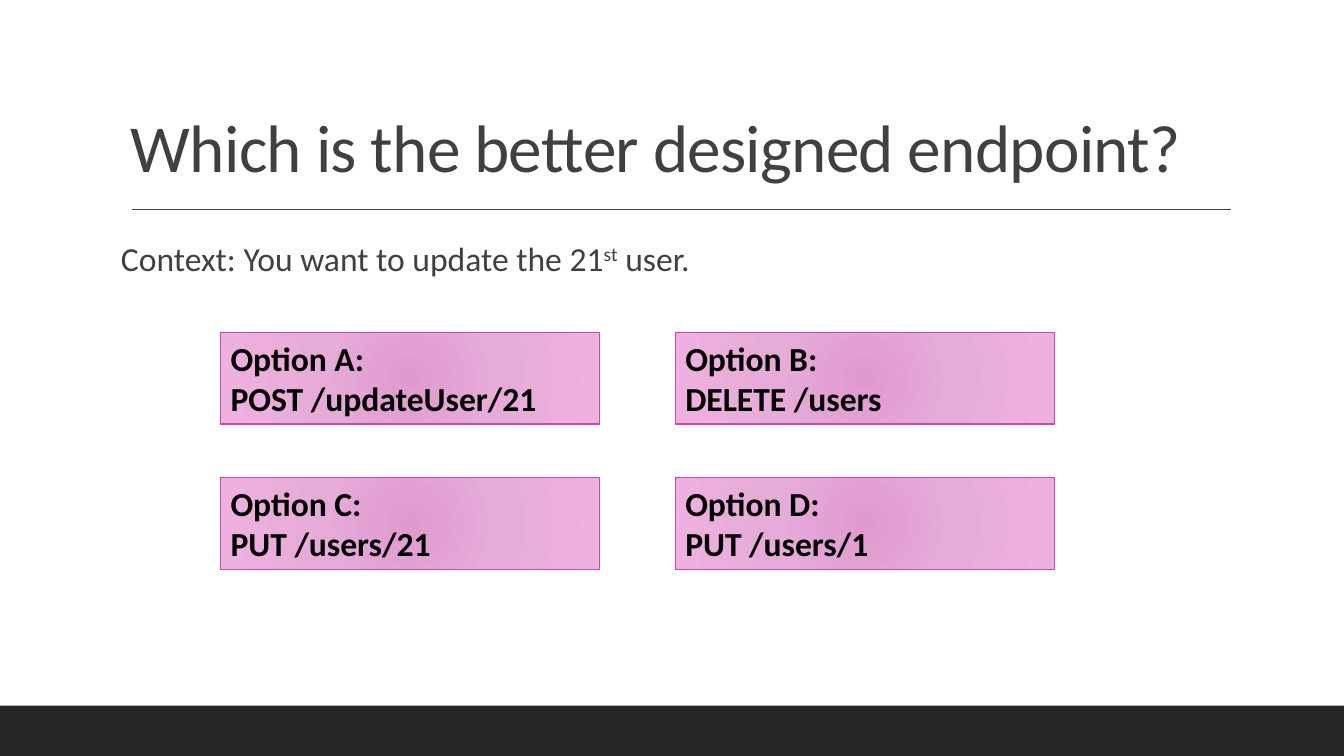
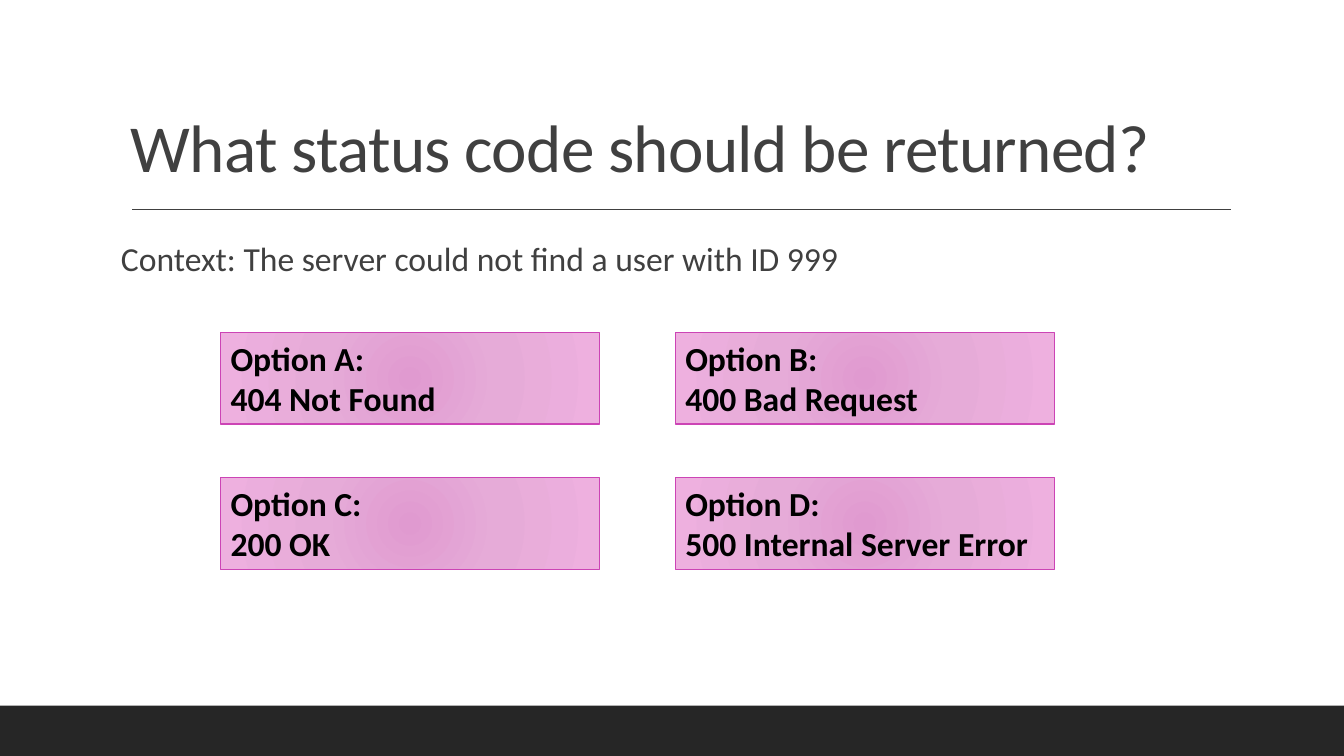
from pptx import Presentation
from pptx.dml.color import RGBColor
from pptx.enum.shapes import MSO_CONNECTOR, MSO_SHAPE
from pptx.enum.text import MSO_ANCHOR, MSO_AUTO_SIZE, PP_ALIGN
from pptx.oxml import parse_xml
from pptx.oxml.ns import nsdecls, qn
from pptx.util import Cm, Pt

# Content: context is a list of (text, superscript) runs
SLIDES = [
    {
        "title": "Which is the better designed endpoint?",
        "context": [("Context: You want to update the 21", False),
                    ("st", True), (" user.", False)],
        "options": ["POST /updateUser/21", "DELETE /users",
                    "PUT /users/21", "PUT /users/1"],
    },
    {
        "title": "What status code should be returned?",
        "context": [("Context: The server could not find a user with ID 999", False)],
        "options": ["404 Not Found", "400 Bad Request",
                    "200 OK", "500 Internal Server Error"],
    },
]

# Shared style, lengths in cm
FONT = "Calibri"
GREY, BAND, BLACK, BORDER = "404040", "262626", "000000", "CC44B5"
GRADIENT = [(0, "E09AD0"), (45, "E6ABD8"), (100, "EEB0DF")]
WIDTH, HEIGHT, BAND_HEIGHT = 33.87, 19.05, 1.27
TEXT_LEFT, TEXT_WIDTH = 3.05, 27.94
RULE_LEFT, RULE_RIGHT, RULE_TOP = 3.33, 31.01, 5.28
GRID_LEFT, GRID_TOP, STEP_X, STEP_Y = 5.56, 8.38, 11.46, 3.66
BOX_WIDTH, BOX_HEIGHT = 9.55, 2.31


def color(value):
    return RGBColor.from_string(value)


def style(p, size, value, bold=False):
    p.alignment = PP_ALIGN.LEFT
    p.font.name, p.font.size, p.font.bold = FONT, Pt(size), bold
    p.font.color.rgb = color(value)


def add_text(s, top, height):
    tf = s.shapes.add_textbox(Cm(TEXT_LEFT), Cm(top), Cm(TEXT_WIDTH), Cm(height)).text_frame
    tf.word_wrap = True
    return tf


def add_rect(s, left, top, width, height):
    sp = s.shapes.add_shape(MSO_SHAPE.RECTANGLE, Cm(left), Cm(top), Cm(width), Cm(height))
    sp.shadow.inherit = False
    return sp


def fill_radial(sp):
    sp.fill.gradient()
    old = sp._element.spPr.find(qn("a:gradFill"))
    stops = "".join(f'<a:gs pos="{pos * 1000}"><a:srgbClr val="{value}"/></a:gs>'
                    for pos, value in GRADIENT)
    old.getparent().replace(old, parse_xml(
        f'<a:gradFill {nsdecls("a")} rotWithShape="1"><a:gsLst>{stops}</a:gsLst>'
        '<a:path path="circle"><a:fillToRect l="100000" t="100000" r="100000" b="100000"/>'
        '</a:path></a:gradFill>'))


def add_frame(s):
    # Bottom band and rule under the title
    band = add_rect(s, 0, HEIGHT - BAND_HEIGHT, WIDTH, BAND_HEIGHT)
    band.fill.solid()
    band.fill.fore_color.rgb = color(BAND)
    band.line.fill.background()
    rule = s.shapes.add_connector(MSO_CONNECTOR.STRAIGHT, Cm(RULE_LEFT), Cm(RULE_TOP),
                                  Cm(RULE_RIGHT), Cm(RULE_TOP))
    rule.line.color.rgb = color(GREY)
    rule.line.width = Pt(1)
    rule._element.spPr.append(parse_xml(f'<a:effectLst {nsdecls("a")}/>'))


def add_title(s, text):
    tf = add_text(s, 0.79, 4.04)
    tf.vertical_anchor = MSO_ANCHOR.BOTTOM
    p = tf.paragraphs[0]
    style(p, 48, GREY)
    p.line_spacing = 0.9
    r = p.add_run()
    r.text = text
    r._r.get_or_add_rPr().set("spc", "-50")


def add_context(s, runs):
    tf = add_text(s, 5.87, 10.44)
    tf.margin_left = tf.margin_right = 0
    p = tf.paragraphs[0]
    style(p, 24, GREY)
    p.space_before, p.space_after = Pt(12), Pt(2)
    for text, raised in runs:
        r = p.add_run()
        r.text = text
        if raised:
            r._r.get_or_add_rPr().set("baseline", "30000")


def add_options(s, options):
    for i, (letter, answer) in enumerate(zip("ABCD", options)):
        row, col = divmod(i, 2)
        sp = add_rect(s, GRID_LEFT + col * STEP_X, GRID_TOP + row * STEP_Y,
                      BOX_WIDTH, BOX_HEIGHT)
        fill_radial(sp)
        sp.line.color.rgb = color(BORDER)
        sp.line.width = Pt(1)
        tf = sp.text_frame
        tf.word_wrap = True
        tf.auto_size = MSO_AUTO_SIZE.SHAPE_TO_FIT_TEXT
        tf.vertical_anchor = MSO_ANCHOR.TOP
        tf.text = f"Option {letter}:\n{answer}"
        for p in tf.paragraphs:
            style(p, 24, BLACK, bold=True)


def main():
    prs = Presentation()
    prs.slide_width, prs.slide_height = Cm(WIDTH), Cm(HEIGHT)
    for content in SLIDES:
        s = prs.slides.add_slide(prs.slide_layouts[6])
        add_frame(s)
        add_title(s, content["title"])
        add_context(s, content["context"])
        add_options(s, content["options"])
    prs.save("out.pptx")


if __name__ == "__main__":
    main()
